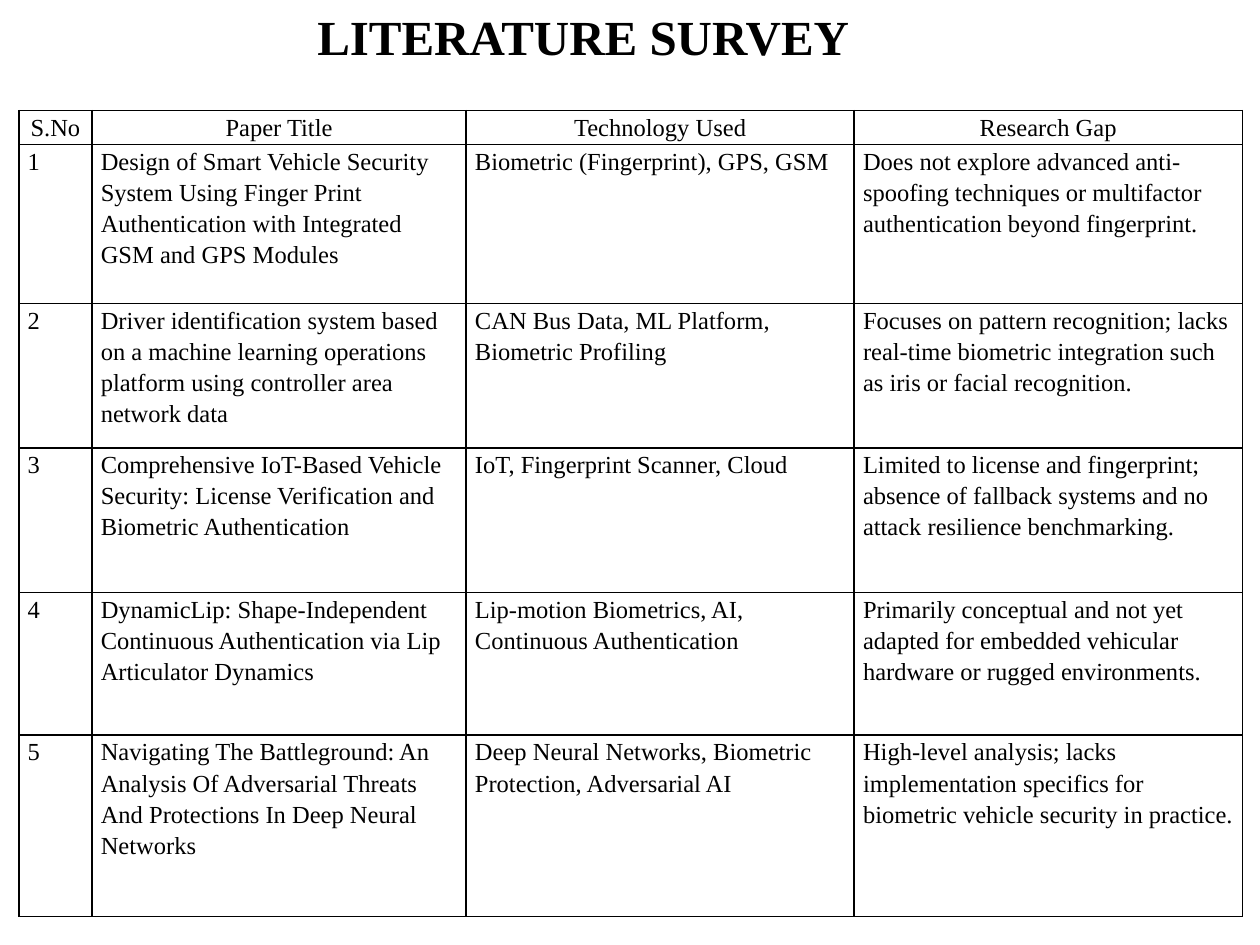
from lxml.etree import SubElement
from pptx import Presentation
from pptx.dml.color import RGBColor
from pptx.enum.text import MSO_AUTO_SIZE as AutoSize, PP_ALIGN as Align
from pptx.oxml.ns import qn
from pptx.util import Inches, Pt

BLACK = RGBColor(0, 0, 0)
WIDTH, HEIGHT = Inches(10), Inches(7.5)
COLUMNS = [0.058, 0.297, 0.308, 0.308]
ROWS = [0.036, 0.168, 0.153, 0.153, 0.151, 0.192]
HEADER = ["S.No", "Paper Title", "Technology Used", "Research Gap"]
PAPERS = [
    ("Design of Smart Vehicle Security System Using Finger Print Authentication with Integrated GSM and GPS Modules",
     "Biometric (Fingerprint), GPS, GSM",
     "Does not explore advanced anti-spoofing techniques or multifactor authentication beyond fingerprint."),
    ("Driver identification system based on a machine learning operations platform using controller area network data",
     "CAN Bus Data, ML Platform, Biometric Profiling",
     "Focuses on pattern recognition; lacks real-time biometric integration such as iris or facial recognition."),
    ("Comprehensive IoT-Based Vehicle Security: License Verification and Biometric Authentication",
     "IoT, Fingerprint Scanner, Cloud",
     "Limited to license and fingerprint; absence of fallback systems and no attack resilience benchmarking."),
    ("DynamicLip: Shape-Independent Continuous Authentication via Lip Articulator Dynamics",
     "Lip-motion Biometrics, AI, Continuous Authentication",
     "Primarily conceptual and not yet adapted for embedded vehicular hardware or rugged environments."),
    ("Navigating The Battleground: An Analysis Of Adversarial Threats And Protections In Deep Neural Networks",
     "Deep Neural Networks, Biometric Protection, Adversarial AI",
     "High-level analysis; lacks implementation specifics for biometric vehicle security in practice."),
]


class SurveyPage:
    """Hold the text style and the current slide, with lengths as shares of its size."""

    font_name = "Times New Roman"
    color = BLACK

    def __init__(self, page):
        self.page = page

    def style(self, para, size, bold=False):
        for span in para.runs:
            span.font.name = self.font_name
            span.font.size = Pt(size)
            span.font.bold = bold
            span.font.color.rgb = self.color

    def title(self, text, left, top, width, height):
        box = self.page.shapes.add_textbox(
            int(left * WIDTH), int(top * HEIGHT), int(width * WIDTH), int(height * HEIGHT))
        frame = box.text_frame
        frame.word_wrap = True
        frame.auto_size = AutoSize.SHAPE_TO_FIT_TEXT
        frame.text = text
        self.style(frame.paragraphs[0], 28, bold=True)

    def border(self, cell):
        properties = cell._tc.get_or_add_tcPr()
        for index, side in enumerate(("lnL", "lnR", "lnT", "lnB")):
            line = properties.makeelement(qn(f"a:{side}"), {"w": str(Pt(1))})
            fill = SubElement(line, qn("a:solidFill"))
            SubElement(fill, qn("a:srgbClr"), val=str(self.color))
            properties.insert(index, line)

    def cell(self, cell, text, align):
        cell.margin_left = cell.margin_right = Inches(0.07)
        cell.margin_top = cell.margin_bottom = 0
        cell.fill.background()
        self.border(cell)
        cell.text_frame.text = text
        para = cell.text_frame.paragraphs[0]
        para.alignment = align
        para.line_spacing = 1.15
        para.space_after = Pt(10)
        self.style(para, 14)

    def table(self, records, left, top):
        table = self.page.shapes.add_table(
            len(ROWS), len(COLUMNS), int(left * WIDTH), int(top * HEIGHT),
            int(sum(COLUMNS) * WIDTH), int(sum(ROWS) * HEIGHT)).table
        table.first_row = table.horz_banding = False
        for column, share in zip(table.columns, COLUMNS):
            column.width = int(share * WIDTH)
        for index, (row, share, record) in enumerate(zip(table.rows, ROWS, records)):
            row.height = int(share * HEIGHT)
            for cell, text in zip(row.cells, record):
                self.cell(cell, text, Align.LEFT if index else Align.CENTER)


def main():
    deck = Presentation()
    deck.slide_width, deck.slide_height = WIDTH, HEIGHT
    survey = SurveyPage(deck.slides.add_slide(deck.slide_layouts[6]))
    survey.title("LITERATURE SURVEY", 0.242, 0, 0.65, 0.076)
    numbered = [(str(number), *paper) for number, paper in enumerate(PAPERS, 1)]
    survey.table([HEADER, *numbered], 0.015, 0.117)
    deck.save("out.pptx")


if __name__ == "__main__":
    main()
